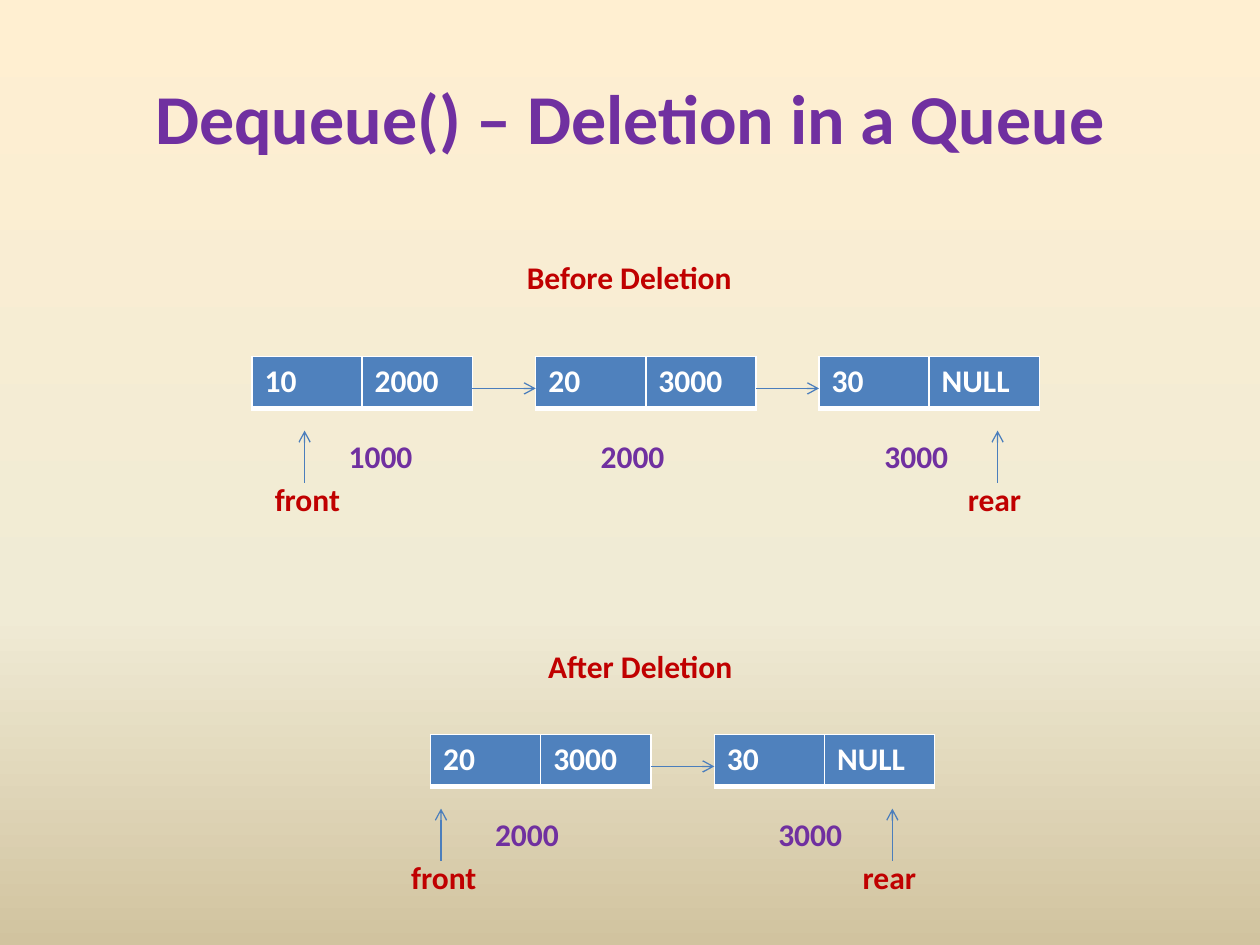
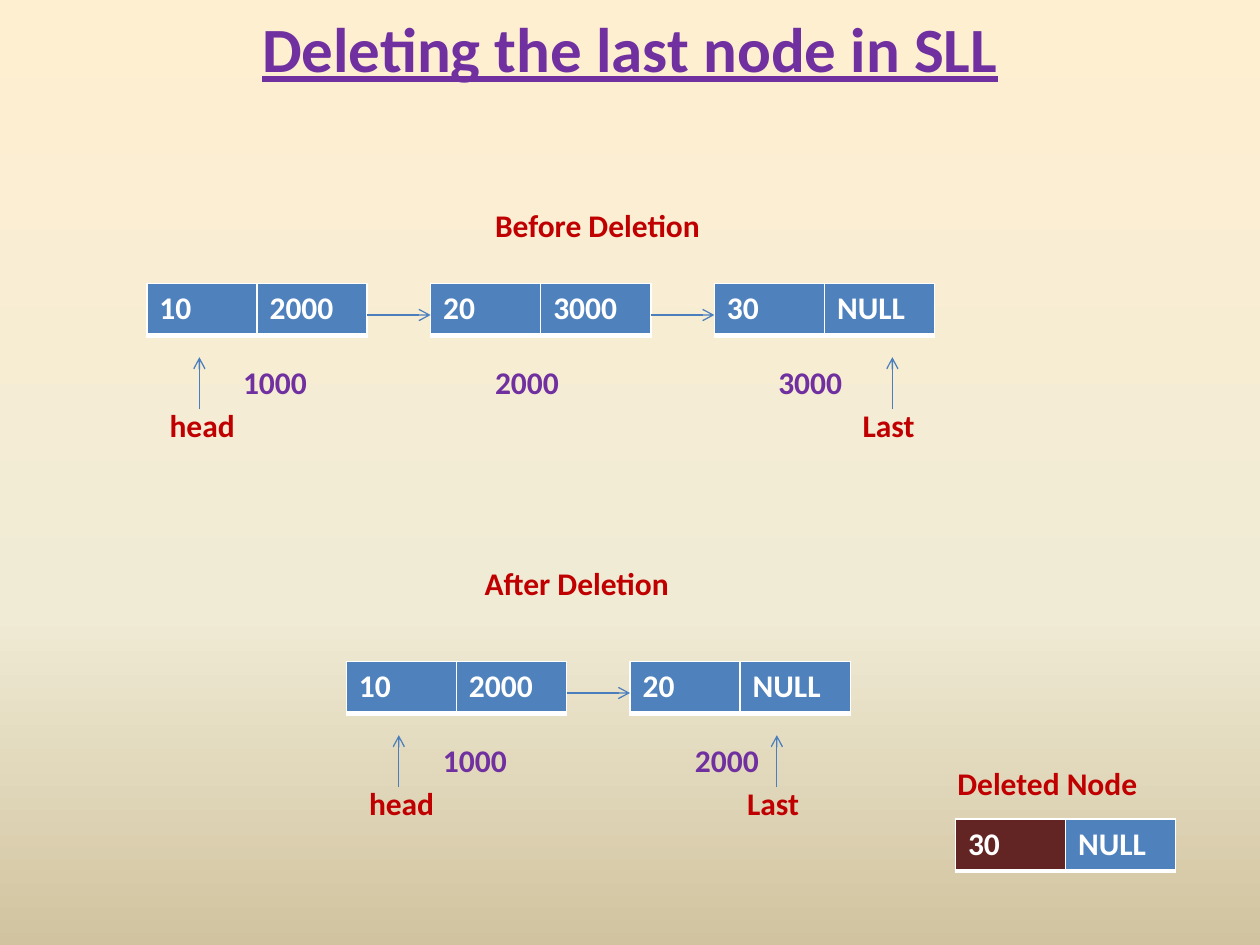
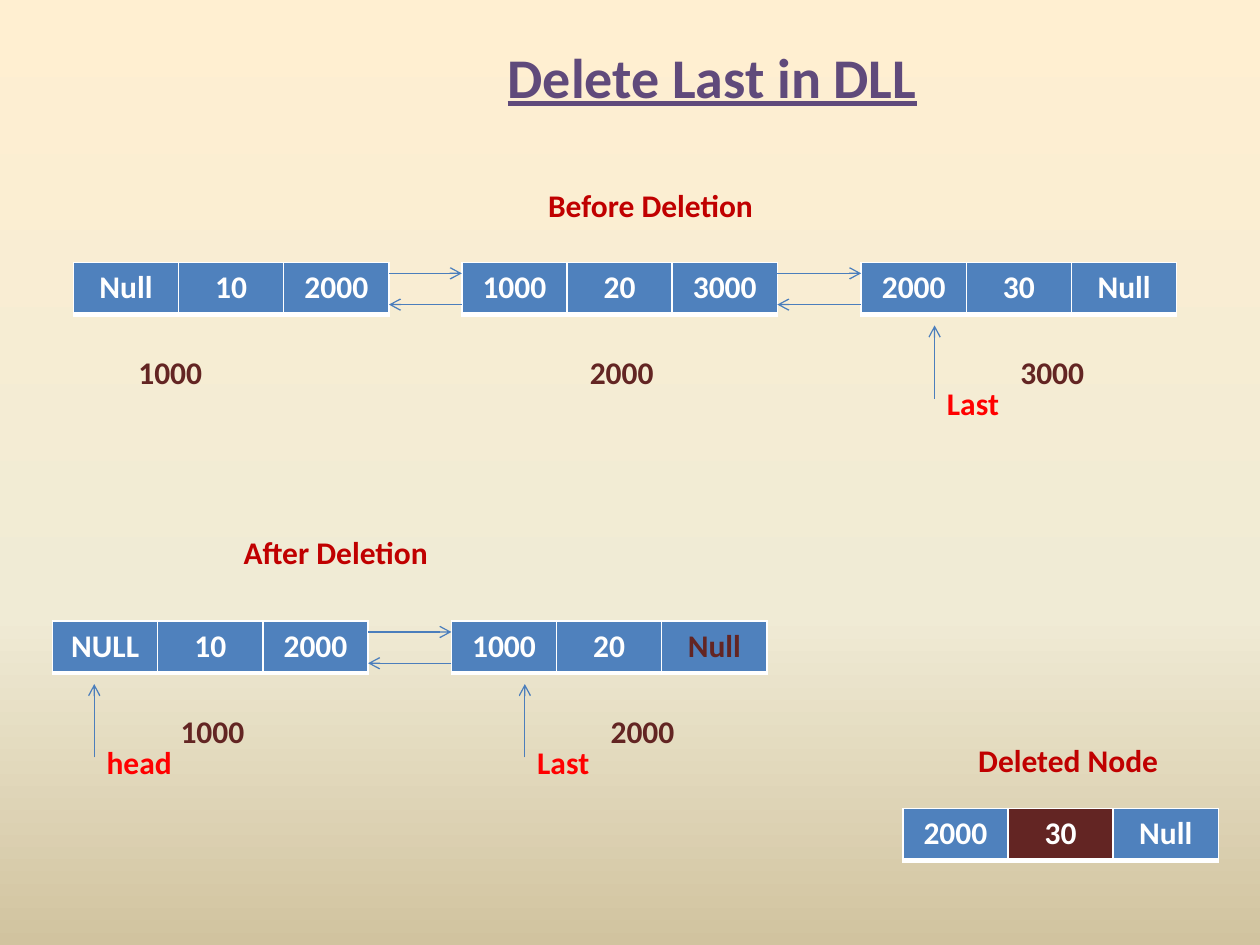
import dataclasses

import lxml.etree
import pptx
import pptx.dml.color
import pptx.enum.shapes
import pptx.enum.text
import pptx.oxml.ns
import pptx.util

Cm, Pt = pptx.util.Cm, pptx.util.Pt
ALIGN = pptx.enum.text.PP_ALIGN
qn = pptx.oxml.ns.qn

FONT = "Calibri"
WHITE, BLUE, LINK = "FFFFFF", "4F81BD", "4B7EBC"
PURPLE, PLUM, RED, BRIGHT_RED, MAROON = "7030A0", "604A7B", "C00000", "FF0000", "632523"
BACKDROP = [(0, "FFEFD1"), (65, "F0EBD5"), (100, "D1C39F")]
NODE_HEIGHT, LABEL_HEIGHT = 1.05, 1.03


def rgb(colour):
    """Turn a hex string into a colour."""
    return pptx.dml.color.RGBColor.from_string(colour)


@dataclasses.dataclass
class Cell:
    """One field of a list node."""
    text: str
    fill: str = BLUE
    ink: str = WHITE


@dataclasses.dataclass
class ListStyle:
    """Measures of a linked list; heights count from the top of its nodes."""
    cell_width: float
    align: int
    forward: float
    backward: float | None
    address: float
    address_ink: str
    tip: float
    tail: float
    name_shift: float
    name: float
    name_ink: str


SINGLE = ListStyle(2.22, ALIGN.LEFT, 0.64, None, 1.49, PURPLE, 1.49, 2.54, -0.85, 2.36, RED)
DOUBLE = ListStyle(2.12, ALIGN.CENTER, 0.22, 0.85, 1.7, MAROON, 1.27, 2.75, 0, 2.33, BRIGHT_RED)


class ListDeck:
    """Draws linked lists slide by slide."""

    def __init__(self):
        """Open a deck and give its master the gradient."""
        self.deck = pptx.Presentation()
        self.deck.slide_width, self.deck.slide_height = Cm(25.4), Cm(19.05)
        master = self.deck.slide_master
        fill = master.background.fill
        fill.gradient()
        fill.gradient_angle = 270
        stops = master.element.xpath("p:cSld/p:bg//a:gsLst")[0]
        for stop in list(stops):
            stops.remove(stop)
        for position, colour in BACKDROP:
            stop = lxml.etree.SubElement(stops, qn("a:gs"), pos=str(position * 1000))
            lxml.etree.SubElement(stop, qn("a:srgbClr"), val=colour)

    def start(self, style):
        """Add a blank slide for lists of one style."""
        self.slide = self.deck.slides.add_slide(self.deck.slide_layouts[6])
        self.style = style

    def set_text(self, paragraph, text, ink, size=18, align=ALIGN.LEFT, underline=None):
        """Fill a paragraph with bold text."""
        paragraph.text = text
        paragraph.alignment = align
        font = paragraph.font
        font.name, font.size, font.bold, font.underline = FONT, Pt(size), True, underline
        font.color.rgb = rgb(ink)

    def box(self, left, top, width, height):
        """Add a wrapping text box and return its frame."""
        frame = self.slide.shapes.add_textbox(Cm(left), Cm(top), Cm(width), Cm(height)).text_frame
        frame.word_wrap = True
        return frame

    def title(self, text, size, left, top, width, height, ink=PURPLE, underline=True):
        """Add the centred slide title."""
        frame = self.box(left, top, width, height)
        frame.vertical_anchor = pptx.enum.text.MSO_ANCHOR.MIDDLE
        self.set_text(frame.paragraphs[0], text, ink, size, ALIGN.CENTER, underline)

    def label(self, text, left, top, ink=RED, width=2.33):
        """Add a short label."""
        frame = self.box(left, top, width, LABEL_HEIGHT)
        frame.auto_size = pptx.enum.text.MSO_AUTO_SIZE.SHAPE_TO_FIT_TEXT
        self.set_text(frame.paragraphs[0], text, ink)

    def heading(self, text, left, top):
        """Add the heading of a list."""
        self.label(text, left, top, width=5.8)

    def arrow(self, start_x, start_y, end_x, end_y):
        """Draw a thin arrow."""
        line = self.slide.shapes.add_connector(
            pptx.enum.shapes.MSO_CONNECTOR.STRAIGHT, Cm(start_x), Cm(start_y), Cm(end_x), Cm(end_y))
        line.line.color.rgb = rgb(LINK)
        line.line.width = Pt(0.75)
        properties = line._element.spPr
        lxml.etree.SubElement(properties.find(qn("a:ln")), qn("a:tailEnd"), type="arrow")
        lxml.etree.SubElement(properties, qn("a:effectLst"))

    def borders(self, cell):
        """Give a cell white borders with a heavy lower edge."""
        properties = cell._tc.get_or_add_tcPr()
        for place, (side, width) in enumerate([("L", 1), ("R", 1), ("T", 1), ("B", 3)]):
            edge = lxml.etree.Element(qn(f"a:ln{side}"), w=str(Pt(width)))
            fill = lxml.etree.SubElement(edge, qn("a:solidFill"))
            lxml.etree.SubElement(fill, qn("a:srgbClr"), val=WHITE)
            properties.insert(place, edge)

    def node(self, left, top, fields):
        """Draw one node as a single-row table."""
        width = self.style.cell_width
        table = self.slide.shapes.add_table(
            1, len(fields), Cm(left), Cm(top), Cm(width * len(fields)), Cm(NODE_HEIGHT)).table
        table.first_row = table.horz_banding = False
        for column, field in enumerate(fields):
            field = Cell(field) if isinstance(field, str) else field
            table.columns[column].width = Cm(width)
            cell = table.cell(0, column)
            cell.fill.solid()
            cell.fill.fore_color.rgb = rgb(field.fill)
            self.borders(cell)
            self.set_text(cell.text_frame.paragraphs[0], field.text, field.ink, align=self.style.align)

    def chain(self, top, nodes, pointers):
        """Draw linked nodes (left, fields, address, address left) and pointers (name, x)."""
        style = self.style
        previous_right = None
        for left, fields, address, address_left in nodes:
            self.node(left, top, fields)
            self.label(address, address_left, top + style.address, style.address_ink)
            if previous_right is not None:
                self.arrow(previous_right, top + style.forward, left, top + style.forward)
                if style.backward is not None:
                    self.arrow(left, top + style.backward, previous_right, top + style.backward)
            previous_right = left + style.cell_width * len(fields)
        for name, x in pointers:
            self.arrow(x, top + style.tail, x, top + style.tip)
            self.label(name, x + style.name_shift, top + style.name, style.name_ink)


def queue_slide(deck):
    """Show deletion in a queue."""
    deck.start(SINGLE)
    deck.title("Dequeue() – Deletion in a Queue", 40, 1.27, 0.76, 22.86, 3.18, underline=None)
    deck.heading("Before Deletion", 10.37, 5.08)
    deck.chain(7.19, [(5.08, ["10", "2000"], "1000", 6.78),
                      (10.8, ["20", "3000"], "2000", 11.86),
                      (16.51, ["30", "NULL"], "3000", 17.58)],
               [("front", 6.14), ("rear", 20.11)])
    deck.heading("After Deletion", 10.8, 12.91)
    deck.chain(14.81, [(8.68, ["20", "3000"], "2000", 9.73),
                       (14.4, ["30", "NULL"], "3000", 15.44)],
               [("front", 8.89), ("rear", 17.99)])


def single_list_slide(deck):
    """Show deletion of the last node in a singly linked list."""
    deck.start(SINGLE)
    deck.title("Deleting the last node in SLL", 36, 1.27, -0.64, 22.86, 3.18)
    deck.heading("Before Deletion", 9.73, 4.02)
    deck.chain(5.71, [(2.96, ["10", "2000"], "1000", 4.65),
                      (8.68, ["20", "3000"], "2000", 9.73),
                      (14.4, ["30", "NULL"], "3000", 15.44)],
               [("head", 4.02), ("Last", 17.99)])
    deck.heading("After Deletion", 9.52, 11.25)
    deck.chain(13.33, [(6.98, ["10", "2000"], "1000", 8.68),
                       (12.7, ["20", "NULL"], "2000", 13.76)],
               [("head", 8.04), ("Last", 15.66)])
    deck.heading("Deleted Node", 19.05, 15.27)
    deck.node(19.26, 16.51, [Cell("30", MAROON), "NULL"])


def double_list_slide(deck):
    """Show deletion of the last node in a doubly linked list."""
    deck.start(DOUBLE)
    deck.title("Delete Last in DLL", 32, 5, 0.71, 18.72, 1.63, PLUM)
    deck.heading("Before Deletion", 10.8, 3.63)
    deck.chain(5.29, [(1.48, ["Null", "10", "2000"], "1000", 2.54),
                      (9.31, ["1000", "20", "3000"], "2000", 11.64),
                      (17.36, ["2000", "30", "Null"], "3000", 20.32)],
               [("Last", 18.84)])
    deck.heading("After Deletion", 4.66, 10.62)
    deck.chain(12.52, [(1.06, ["NULL", "10", "2000"], "1000", 3.39),
                       (9.1, ["1000", "20", Cell("Null", ink=MAROON)], "2000", 12.06)],
               [("head", 1.9), ("Last", 10.58)])
    deck.heading("Deleted Node", 19.47, 14.81)
    deck.node(18.2, 16.3, ["2000", Cell("30", MAROON), "Null"])


def main():
    """Build and save the deck."""
    lists = ListDeck()
    queue_slide(lists)
    single_list_slide(lists)
    double_list_slide(lists)
    lists.deck.save("out.pptx")


if __name__ == "__main__":
    main()
